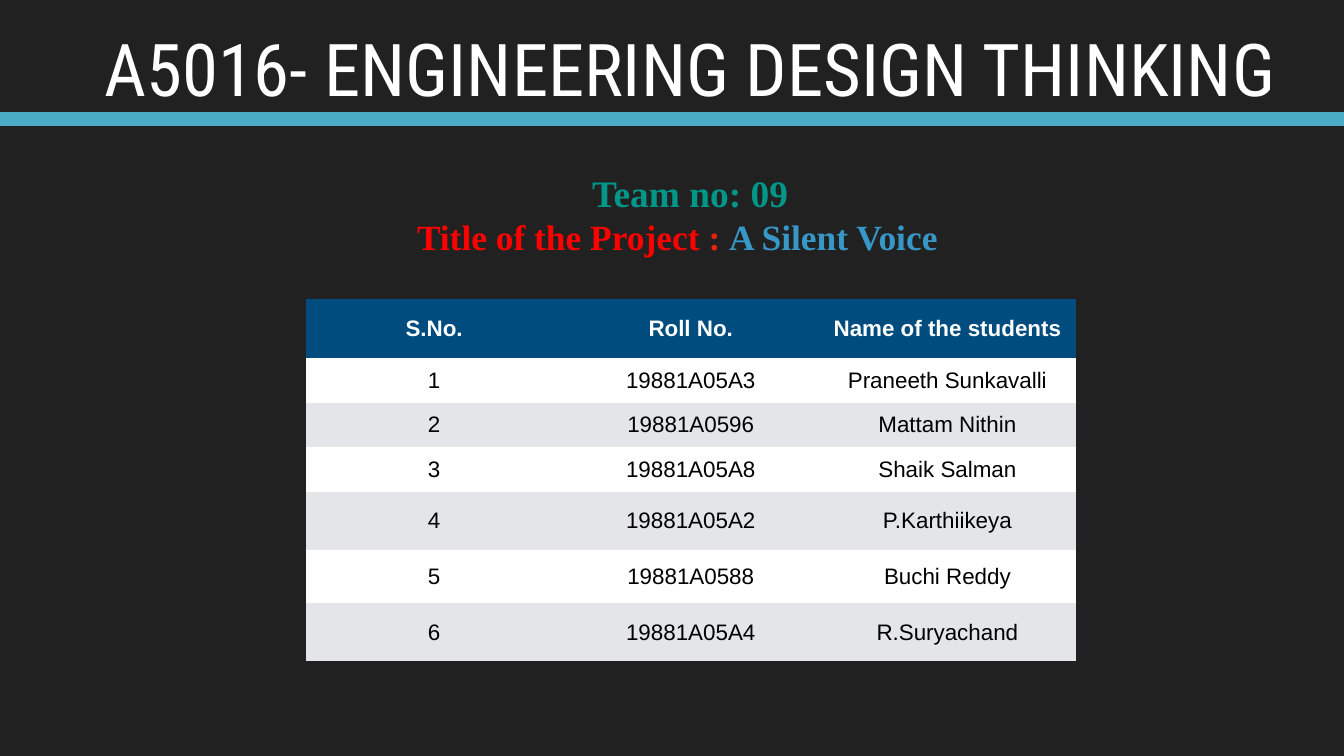
from dataclasses import dataclass
from typing import Any

import lxml.etree
import pptx
import pptx.dml.color
import pptx.enum.shapes
import pptx.enum.text
import pptx.oxml.ns
import pptx.util

ANCHOR = pptx.enum.text.MSO_ANCHOR
CENTER = pptx.enum.text.PP_ALIGN.CENTER


@dataclass(frozen=True)
class Theme:
    back: str = "212121"
    bar: str = "4BACC6"
    white: str = "FFFFFF"
    black: str = "000000"
    red: str = "FF0000"
    colon: str = "EB220C"
    blue: str = "3797C6"
    teal: str = "009688"
    header: str = "004C7F"
    band: str = "E3E5E8"
    display: str = "Roboto Condensed"
    serif: str = "Times New Roman"
    sans: str = "Arial"
    title_size: int = 39
    team_size: int = 20
    project_size: int = 19
    table_size: int = 12


@dataclass(frozen=True)
class Box:
    """Left, top, width and height in percent of the slide."""
    x: float
    y: float
    w: float
    h: float


@dataclass(frozen=True)
class Label:
    box: Box
    runs: tuple[tuple[str, str], ...]  # text, colour
    font: str
    size: int
    bold: bool
    anchor: Any


T = Theme()
prs = pptx.Presentation()
prs.slide_width = pptx.util.Inches(10)
prs.slide_height = prs.slide_width * 9 // 16
s = prs.slides.add_slide(prs.slide_layouts[6])


def rgb(color: str) -> pptx.dml.color.RGBColor:
    return pptx.dml.color.RGBColor.from_string(color)


def across(share: float) -> int:
    return round(prs.slide_width * share / 100)


def down(share: float) -> int:
    return round(prs.slide_height * share / 100)


def place(box: Box) -> tuple[int, int, int, int]:
    return across(box.x), down(box.y), across(box.w), down(box.h)


def set_all(target: Any, values: dict[str, Any]) -> None:
    for name, value in values.items():
        setattr(target, name, value)


def margins() -> dict[str, int]:
    sides = ("left", "top", "right", "bottom")
    return {f"margin_{side}": pptx.util.Inches(0.02) for side in sides}


def write(p: Any, text: str, font: str, size: int, color: str, bold: bool) -> None:
    p.alignment = CENTER
    r = p.add_run()
    r.text = text
    set_all(r.font, {"name": font, "size": pptx.util.Pt(size), "bold": bold})
    r.font.color.rgb = rgb(color)


def draw_label(label: Label) -> None:
    tf = s.shapes.add_textbox(*place(label.box)).text_frame
    set_all(tf, {"word_wrap": True, "vertical_anchor": label.anchor} | margins())
    for text, color in label.runs:
        write(tf.paragraphs[0], text, label.font, label.size, color, label.bold)


def clear_borders(cell: Any) -> None:
    props = cell._tc.get_or_add_tcPr()
    for i, side in enumerate(("lnL", "lnR", "lnT", "lnB")):
        line = lxml.etree.Element(pptx.oxml.ns.qn(f"a:{side}"), w="0")
        lxml.etree.SubElement(line, pptx.oxml.ns.qn("a:noFill"))
        props.insert(i, line)


def draw_table(box: Box, heights: list[float], rows: list[tuple[str, ...]]) -> None:
    table = s.shapes.add_table(len(rows), len(rows[0]), *place(box)).table
    for row, height in zip(table.rows, heights):
        row.height = down(height)
    for i, values in enumerate(rows):
        head = i == 0
        fill = T.header if head else T.white if i % 2 else T.band
        for j, value in enumerate(values):
            cell = table.cell(i, j)
            set_all(cell, {"vertical_anchor": ANCHOR.MIDDLE} | margins())
            cell.fill.solid()
            cell.fill.fore_color.rgb = rgb(fill)
            clear_borders(cell)
            write(cell.text_frame.paragraphs[0], value, T.sans, T.table_size,
                  T.white if head else T.black, head)


# Background
s.background.fill.solid()
s.background.fill.fore_color.rgb = rgb(T.back)

# Title, project and team
labels = [
    Label(Box(6.5, 2, 89.7, 13),
          (("A5016- ENGINEERING DESIGN THINKING", T.white),),
          T.display, T.title_size, False, ANCHOR.BOTTOM),
    Label(Box(6.6, 28.1, 87.6, 11.2),
          (("Title of the Project ", T.red), (": ", T.colon), ("A Silent Voice", T.blue)),
          T.serif, T.project_size, True, ANCHOR.TOP),
    Label(Box(41.6, 22.15, 19.5, 6.7), (("Team no: 09", T.teal),),
          T.serif, T.team_size, True, ANCHOR.MIDDLE),
]
for label in labels:
    draw_label(label)

# Student table
students = [
    ("19881A05A3", "Praneeth Sunkavalli"),
    ("19881A0596", "Mattam Nithin"),
    ("19881A05A8", "Shaik Salman"),
    ("19881A05A2", "P.Karthiikeya"),
    ("19881A0588", "Buchi Reddy"),
    ("19881A05A4", "R.Suryachand"),
]
heights = [7.8, 5.9, 5.9, 5.9, 7.65, 7.1, 7.65]
draw_table(Box(22.75, 39.6, 57.3, sum(heights)), heights,
           [("S.No.", "Roll No.", "Name of the students")]
           + [(str(n), *student) for n, student in enumerate(students, 1)])

# Bar under the title
bar = s.shapes.add_shape(pptx.enum.shapes.MSO_SHAPE.RECTANGLE,
                         *place(Box(0, 15.1, 100, 1.4)))
bar.shadow.inherit = False
bar.fill.solid()
bar.fill.fore_color.rgb = rgb(T.bar)
bar.line.color.rgb = rgb(T.bar)
bar.line.width = pptx.util.Pt(2)

prs.save("out.pptx")
